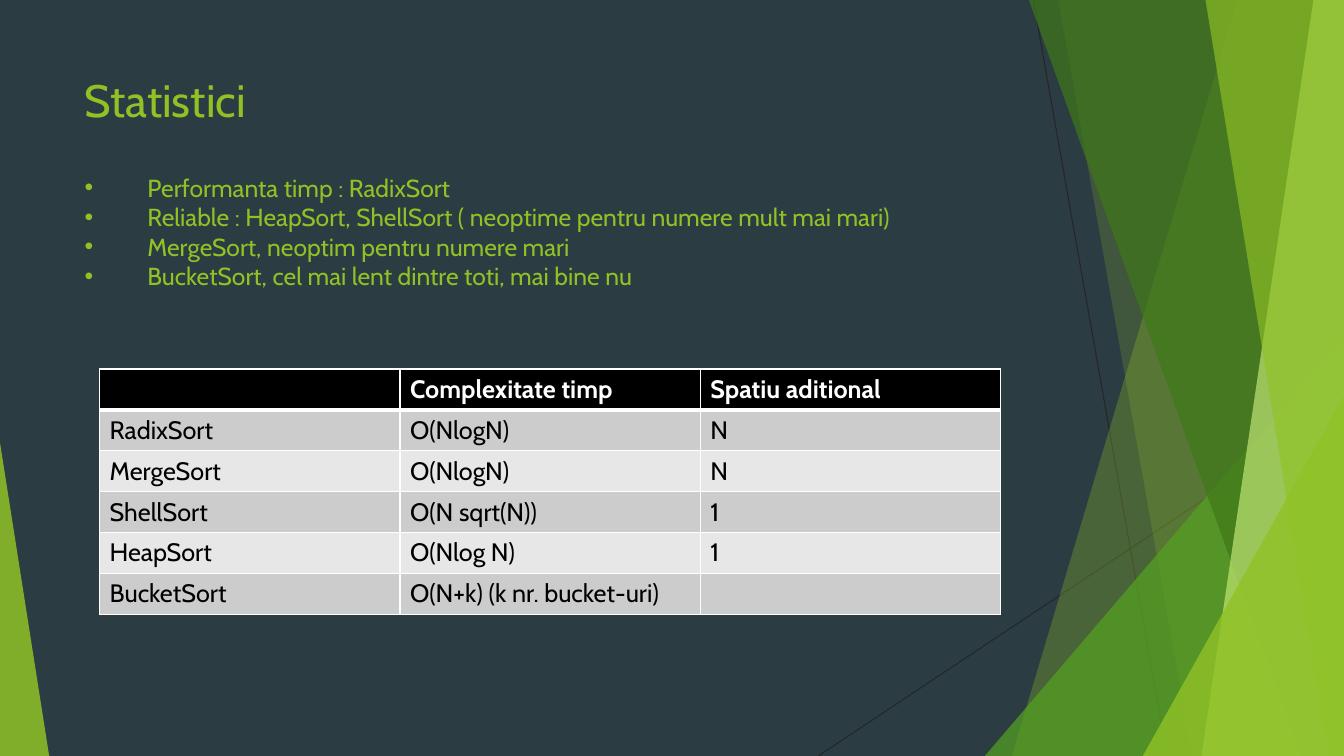
from lxml import etree
from pptx import Presentation, util as u
from pptx.dml.color import RGBColor
from pptx.enum import shapes, text
from pptx.oxml.ns import qn

WIDE, HIGH = 33.87, 19.05
LIME, WHITE = "90C226", "FFFFFF"


def paint(fill, shade):
    fill.solid()
    fill.fore_color.rgb = RGBColor.from_string(shade)


def style(font, shade, **form):
    """Set the typeface, the colour and any further font values."""
    paint(font.fill, shade)
    for key, val in {"name": "Cabin", **form}.items():
        setattr(font, key, val)


deck = Presentation()
deck.slide_width, deck.slide_height = u.Cm(WIDE), u.Cm(HIGH)
slide = deck.slides.add_slide(deck.slide_layouts[1])
paint(slide.background.fill, "2C3C43")
tree = slide.shapes

# Thin lines behind the facets
for ends in [(26.04, 0, 29.41, HIGH), (WIDE, 10.24, 20.62, HIGH)]:
    line = tree.add_connector(shapes.MSO_CONNECTOR.STRAIGHT, *map(u.Cm, ends))
    paint(line.line.fill, "262626")
    line.line.width = u.Pt(0.75)
    etree.SubElement(line._element.spPr, qn("a:effectLst"))

# Facets: a band has its left edge at top and bottom,
# a triangle its left, top, width and apex
facets = [
    (LIME, 30, (31.19, 25.5)),
    (LIME, 20, (26.67, 30.05)),
    ("54A021", 72, (24.82, 8.46, 9.05, 1)),
    ("3F7819", 70, (25.93, 32.79)),
    ("C0E474", 70, (33.1, 30.28)),
    (LIME, 65, (30.38, 33.48)),
    (LIME, 80, (28.8, 9.98, 5.07, 1)),
    (LIME, 85, (0, 11.15, 1.24, 0)),
]
for shade, alpha, form in facets:
    if len(form) == 2:
        top, base = form
        pen = tree.build_freeform(u.Cm(top), 0)
        edge = [(WIDE, 0), (WIDE, HIGH), (base, HIGH)]
        pen.add_line_segments([(u.Cm(x), u.Cm(y)) for x, y in edge])
        facet = pen.convert_to_shape()
    else:
        left, top, width, apex = form
        box = map(u.Cm, (left, top, width, HIGH - top))
        facet = tree.add_shape(shapes.MSO_SHAPE.ISOSCELES_TRIANGLE, *box)
        facet.adjustments[0] = apex
    paint(facet.fill, shade)
    tint = facet._element.spPr.find(".//" + qn("a:srgbClr"))
    etree.SubElement(tint, qn("a:alpha"), val=str(alpha * 1000))
    facet.line.fill.background()
    facet.shadow.inherit = False

# Title and list, in front of the facets
notes = [
    "Performanta timp : RadixSort",
    "Reliable : HeapSort, ShellSort ( neoptime pentru numere mult mai mari)",
    "MergeSort, neoptim pentru numere mari",
    "BucketSort, cel mai lent dintre toti, mai bine nu",
]
title, body = tree.title, slide.placeholders[1]
for hold, top, high, size, lines in [
    (title, 1.7, 2.51, 32.4, ["Statistici"]),
    (body, 4.22, 11.89, 17.6, notes),
]:
    tree._spTree.append(hold._element)
    place = {"left": 1.88, "top": top, "width": 23.88, "height": high}
    for key, val in place.items():
        setattr(hold, key, u.Cm(val))
    frame = hold.text_frame
    frame.text = "\n".join(lines)
    frame.word_wrap = True
    frame.auto_size = text.MSO_AUTO_SIZE.NONE
    frame.vertical_anchor = text.MSO_ANCHOR.TOP
    for para in frame.paragraphs:
        para.alignment = text.PP_ALIGN.LEFT
        para.space_before = u.Pt(0)
        style(para.runs[0].font, LIME, size=u.Pt(size))

for para in body.text_frame.paragraphs:
    props = para._p.get_or_add_pPr()
    props.set("marL", str(u.Cm(1.58)))
    props.set("indent", str(u.Cm(-1.58)))
    etree.SubElement(props, qn("a:buFont"), typeface="Arial")
    etree.SubElement(props, qn("a:buChar"), char="•")

# Table of complexities
rows = [
    ("", "Complexitate timp", "Spatiu aditional"),
    ("RadixSort", "O(NlogN)", "N"),
    ("MergeSort", "O(NlogN)", "N"),
    ("ShellSort", "O(N sqrt(N))", "1"),
    ("HeapSort", "O(Nlog N)", "1"),
    ("BucketSort", "O(N+k) (k nr. bucket-uri)", ""),
]
area = map(u.Cm, (2.51, 9.3, 3 * 7.57, len(rows) * 1.03))
table = tree.add_table(len(rows), 3, *area).table
for r, row in enumerate(rows):
    head = r == 0
    for c, word in enumerate(row):
        cell = table.cell(r, c)
        paint(cell.fill, "000000" if head else "CCCCCC" if r % 2 else "E7E7E7")
        cell.text = word
        for run in cell.text_frame.paragraphs[0].runs:
            style(run.font, WHITE if head else "000000", size=u.Pt(18), bold=head)
        props = cell._tc.get_or_add_tcPr()
        for i, side in enumerate("LRTB"):
            thick = (r, side) in [(0, "B"), (1, "T")]
            rim = etree.Element(qn("a:ln" + side), w=str(u.Pt(3 if thick else 1)))
            fill = etree.SubElement(rim, qn("a:solidFill"))
            etree.SubElement(fill, qn("a:srgbClr"), val=WHITE)
            props.insert(i, rim)

deck.save("out.pptx")
